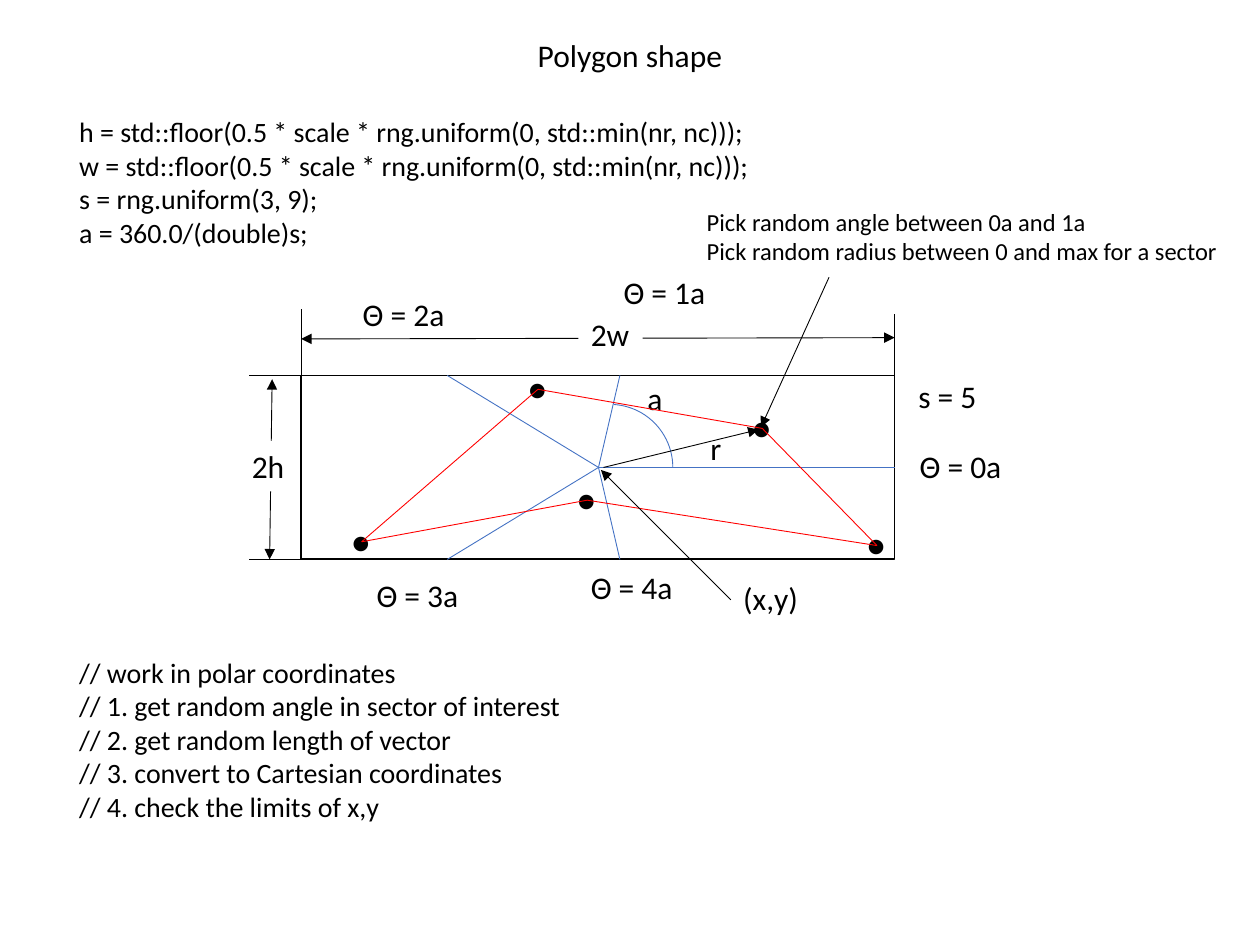
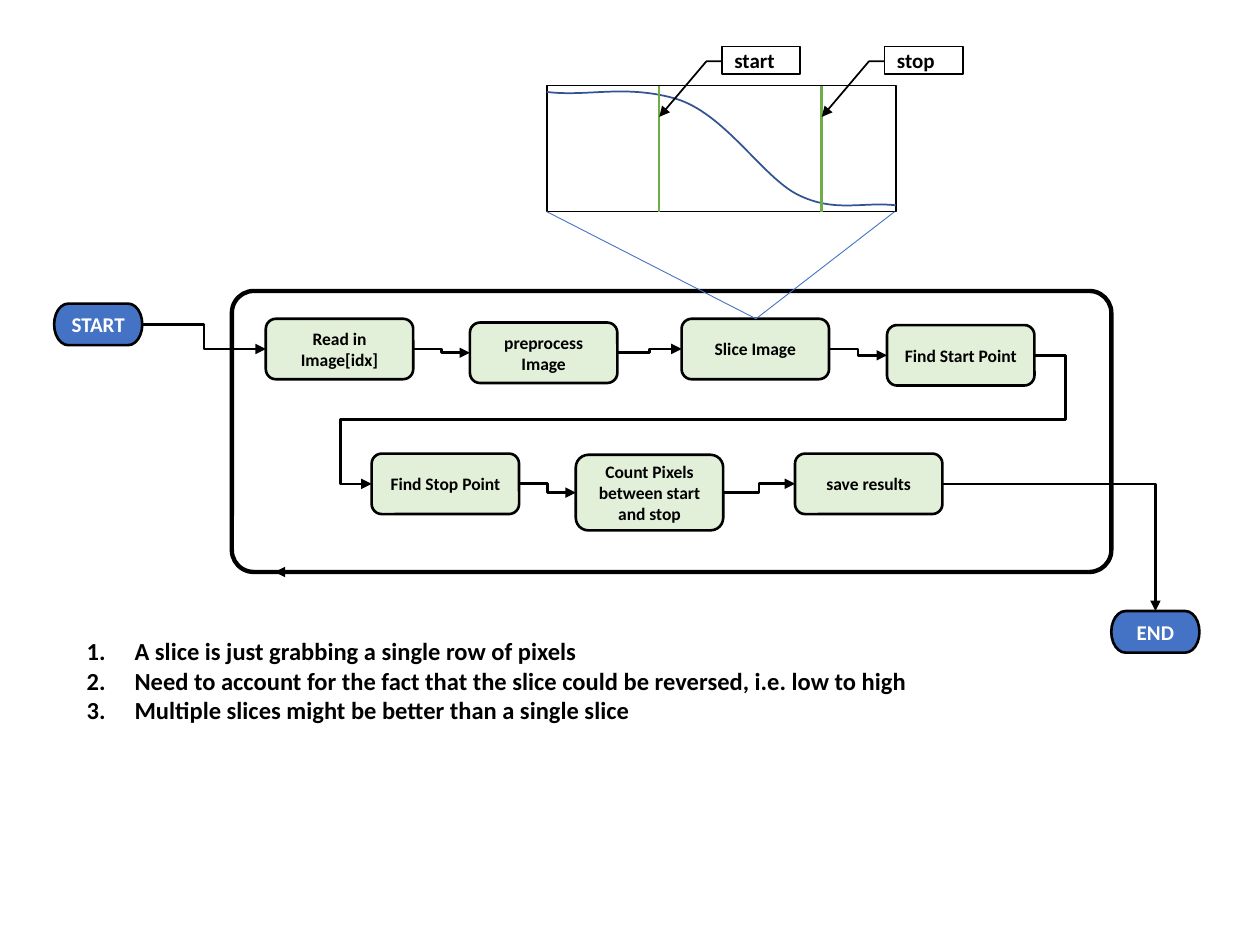
import itertools

import pptx
import pptx.dml.color
import pptx.enum.shapes
import pptx.enum.text
import pptx.oxml
import pptx.oxml.ns
import pptx.util

Inches = pptx.util.Inches
Pt = pptx.util.Pt
qn = pptx.oxml.ns.qn
Kind = pptx.enum.shapes.MSO_SHAPE
Route = pptx.enum.shapes.MSO_CONNECTOR
Align = pptx.enum.text.PP_ALIGN
Anchor = pptx.enum.text.MSO_ANCHOR

FONT = "Calibri"
BLACK, WHITE = "000000", "FFFFFF"
BLUE, NAVY, RED = "4472C4", "325491", "FF0000"
GREEN, PALE = "70AD47", "E2F0D9"
TOP, LEFT, RIGHT = 0, 1, 3  # connection sites


def color(code):
    """Turn a hex string into a colour."""
    return pptx.dml.color.RGBColor.from_string(code)


def add_node(parent, tag, **values):
    """Append a drawing element with attributes."""
    node = parent.makeelement(qn(tag), {k: str(v) for k, v in values.items()})
    parent.append(node)
    return node


def stroke(shape, code, width, head=False, tail=False):
    """Set the line of a shape, with optional arrowheads."""
    shape.line.color.rgb = color(code)
    shape.line.width = Pt(width)
    outline = shape.element.spPr.find(qn("a:ln"))
    for tag, wanted in (("a:headEnd", head), ("a:tailEnd", tail)):
        if wanted:
            add_node(outline, tag, type="triangle")


def paint(shape, code):
    """Fill a shape, or clear its fill when no colour is given."""
    if code:
        shape.fill.solid()
        shape.fill.fore_color.rgb = color(code)
    else:
        shape.fill.background()


def write(shape, text, size=18, code=BLACK, bold=False, align=Align.LEFT,
          wrap=True, anchor=Anchor.TOP, number=False):
    """Put formatted text in a shape, one paragraph per line."""
    frame = shape.text_frame
    frame.word_wrap = wrap
    frame.vertical_anchor = anchor
    frame.text = text
    for para in frame.paragraphs:
        para.alignment = align
        font = para.runs[0].font
        font.name, font.size, font.bold = FONT, Pt(size), bold
        font.color.rgb = color(code)
        if number:
            props = para._p.get_or_add_pPr()
            props.set("marL", str(Inches(0.38)))
            props.set("indent", str(-Inches(0.38)))
            add_node(props, "a:buFont", typeface="+mj-lt")
            add_node(props, "a:buAutoNum", type="arabicPeriod")


def add_text(shapes, text, left, top, width, height=0.4, fill=None,
             wrap=False, **style):
    """Add a text box."""
    box = shapes.add_textbox(*map(Inches, (left, top, width, height)))
    write(box, text, wrap=wrap, **style)
    box.text_frame.auto_size = pptx.enum.text.MSO_AUTO_SIZE.SHAPE_TO_FIT_TEXT
    if fill:
        paint(box, fill)
    return box


def add_box(shapes, kind, left, top, width, height, fill=None, code=BLACK,
            weight=1, adjust=(), tail=False):
    """Add a preset shape."""
    box = shapes.add_shape(kind, *map(Inches, (left, top, width, height)))
    box.shadow.inherit = False
    for i, value in enumerate(adjust):
        box.adjustments[i] = value
    paint(box, fill)
    stroke(box, code, weight, tail=tail)
    return box


def add_line(shapes, start, end, code=BLACK, weight=0.5, **ends):
    """Add a straight line between two points."""
    line = shapes.add_connector(Route.STRAIGHT, *map(Inches, (*start, *end)))
    stroke(line, code, weight, **ends)
    add_node(line.element.spPr, "a:effectLst")


def add_link(shapes, source, target, leave=RIGHT, enter=LEFT,
             bend="bentConnector3", adjust=()):
    """Join two shapes by a bent arrow."""
    link = shapes.add_connector(Route.ELBOW, 0, 0, 0, 0)
    link.begin_connect(source, leave)
    link.end_connect(target, enter)
    shape = link.element.spPr.find(qn("a:prstGeom"))
    shape.set("prst", bend)
    guides = shape.find(qn("a:avLst"))
    for i, value in enumerate(adjust, 1):
        add_node(guides, "a:gd", name=f"adj{i}", fmla=f"val {value}")
    stroke(link, BLACK, 1.5, tail=True)
    add_node(link.element.spPr, "a:effectLst")


def add_curve(shapes, start, arcs, code):
    """Add an open curve; each arc has two control points and an end."""
    units = 1000
    maker = shapes.build_freeform(start[0] * units, start[1] * units,
                                  scale=Inches(1) / units)
    maker.add_line_segments([(x * units, y * units) for *_, (x, y) in arcs],
                            close=False)
    curve = maker.convert_to_shape()
    curve.shadow.inherit = False
    paint(curve, None)
    stroke(curve, code, 1)
    for part, arc in zip(list(curve.element.iter(qn("a:lnTo"))), arcs):
        bend = part.makeelement(qn("a:cubicBezTo"), {})
        for x, y in arc:
            add_node(bend, "a:pt", x=round((x - start[0]) * units),
                     y=round((y - start[1]) * units))
        part.getparent().replace(part, bend)


def draw_sizes(shapes, left, top, right, bottom):
    """Draw the width and height marks of the frame."""
    add_line(shapes, (left, 2.69), (right, 2.68), head=True, tail=True)
    add_text(shapes, "2w", 4.59, 2.45, 0.51, fill=WHITE)
    add_line(shapes, (left, top), (left, 2.45))
    add_line(shapes, (right, 3.01), (right, 2.49))
    for y in (top, bottom):
        add_line(shapes, (1.98, y), (left, y))
    add_line(shapes, (2.14, bottom), (2.16, 3.01), head=True, tail=True)
    add_text(shapes, "2h", 1.9, 3.5, 0.46, fill=WHITE)


def draw_polygon(shapes):
    """Draw the random polygon with its sectors and labels."""
    left, top, right, bottom = 2.39, 2.98, 7.1, 4.44
    center = (4.75, 3.71)
    add_box(shapes, Kind.RECTANGLE, left, top, right - left, bottom - top)
    for end in ((right, 3.71), (4.92, top), (3.55, top), (3.55, bottom),
                (4.92, bottom)):
        add_line(shapes, center, end, BLUE)
    add_box(shapes, Kind.ARC, 4.34, 3.21, 1, 1, code=BLUE, weight=0.5,
            adjust=(164.288, 0))
    draw_sizes(shapes, left, top, right, bottom)

    for text, x, y, width in (
            ("a", 5.04, 2.96, 0.32), ("r", 5.54, 3.36, 0.29),
            ("(x,y)", 5.8, 4.55, 0.64), ("s = 5 ", 7.19, 2.94, 0.73)):
        add_text(shapes, text, x, y, width)
    spots = ((7.2, 3.5), (4.85, 2.12), (2.78, 2.29), (2.89, 4.52),
             (4.59, 4.46))
    for i, (x, y) in enumerate(spots):
        add_text(shapes, f"Θ = {i}a ", x, y, 0.92)

    points = [(6.05, 3.4), (4.27, 3.09), (2.87, 4.3), (4.66, 3.97),
              (6.96, 4.33)]
    for x, y in points:
        add_text(shapes, "●", x - 0.18, y - 0.21, 0.35)
    for start, end in itertools.pairwise(points + points[:1]):
        add_line(shapes, start, end, RED)
    for start, end in (((5.8, 4.76), (4.77, 3.73)),
                       ((6.58, 2.2), (6.04, 3.39)),
                       ((4.79, 3.71), (6.02, 3.41))):
        add_line(shapes, start, end, tail=True)


def polygon_slide(shapes):
    """Build the slide on the polygon shape."""
    add_text(shapes, "Polygon shape", 0, 0.24, 10, wrap=True,
             align=Align.CENTER)
    half = "std::floor(0.5 * scale * rng.uniform(0, std::min(nr, nc)));"
    add_text(shapes, f"h = {half}\nw = {half}\n"
             "s = rng.uniform(3, 9);\na = 360.0/(double)s;",
             0.53, 0.86, 5.58, 1.18, size=16)
    draw_polygon(shapes)
    add_text(shapes, "Pick random angle between 0a and 1a\n"
             "Pick random radius between 0 and max for a sector",
             5.51, 1.59, 4.29, 0.57, size=14)
    add_text(shapes, "// work in polar coordinates\n"
             "// 1. get random angle in sector of interest\n"
             "// 2. get random length of vector\n"
             "// 3. convert to Cartesian coordinates\n"
             "// 4. check the limits of x,y",
             0.53, 5.15, 4.07, 1.48, size=16)


def draw_slice(shapes):
    """Draw the slice profile with its start and stop marks."""
    add_box(shapes, Kind.RECTANGLE, 4.34, 0.68, 2.77, 1, WHITE)
    add_curve(shapes, (4.34, 0.73), (
        ((4.66, 0.77), (4.95, 0.67), (5.35, 0.78)),
        ((5.75, 0.89), (6.05, 1.41), (6.34, 1.55)),
        ((6.63, 1.69), (6.85, 1.6), (7.11, 1.63))), NAVY)
    marks = (("start", 5.23), ("stop", 6.52))
    for _, x in marks:
        add_line(shapes, (x, 0.68), (x, 1.68), GREEN, 1.5)
    for text, x in marks:
        note = add_box(shapes, Kind.LINE_CALLOUT_2, x + 0.5, 0.37, 0.62, 0.22,
                       WHITE, tail=True,
                       adjust=(0.532, -0.005, 0.532, -0.2, 2.534, -0.803))
        write(note, text, size=12, bold=True, anchor=Anchor.MIDDLE)


def add_end(shapes, text, left, top):
    """Add a start or end point of the flow."""
    end = add_box(shapes, Kind.FLOWCHART_TERMINATOR, left, top, 0.7, 0.33,
                  BLUE, weight=1.5)
    write(end, text, size=12, code=WHITE, bold=True, align=Align.CENTER,
          anchor=Anchor.MIDDLE)
    frame = end.text_frame
    frame.margin_left = frame.margin_right = 0
    frame.margin_top = frame.margin_bottom = 0
    return end


def add_step(shapes, text, left, top, height=0.48):
    """Add one step of the flow."""
    step = add_box(shapes, Kind.ROUNDED_RECTANGLE, left, top, 1.17, height,
                   PALE, weight=1.5)
    write(step, text, size=10, bold=True, align=Align.CENTER,
          anchor=Anchor.MIDDLE)
    return step


def draw_flow(shapes):
    """Draw the steps, their links and the loop around them."""
    first = add_end(shapes, "START", 0.43, 2.41)
    last = add_end(shapes, "END", 8.82, 4.85)
    steps = [add_step(shapes, *step) for step in (
        ("Read in Image[idx]", 2.11, 2.53),
        ("preprocess Image", 3.73, 2.56),
        ("Slice Image", 5.41, 2.53),
        ("Find Start Point", 7.04, 2.58),
        ("Find Stop Point", 2.95, 3.6),
        ("Count Pixels between start and stop", 4.57, 3.61, 0.6),
        ("save results", 6.31, 3.6))]
    upper, lower = steps[:4], steps[4:]
    for row in ([first] + upper, lower):
        for source, target in itertools.pairwise(row):
            add_link(shapes, source, target)
    add_link(shapes, upper[-1], lower[0], bend="bentConnector5",
             adjust=(-4700, 50000, 104700))
    add_link(shapes, lower[-1], last, enter=TOP, bend="bentConnector2")

    loop = shapes.add_group_shape().shapes
    add_box(loop, Kind.ROUNDED_RECTANGLE, 1.84, 2.31, 6.98, 2.23, weight=2.5,
            adjust=(0.078,))
    add_line(loop, (2.94, 4.54), (2.18, 4.54), weight=2, tail=True)


def slice_slide(shapes):
    """Build the slide on the slice flow."""
    draw_slice(shapes.add_group_shape().shapes)
    draw_flow(shapes)
    for x in (4.34, 7.1):
        add_line(shapes, (6, 2.53), (x, 1.68), BLUE)
    add_text(shapes, "A slice is just grabbing a single row of pixels\n"
             "Need to account for the fact that the slice could be reversed, "
             "i.e. low to high\n"
             "Multiple slices might be better than a single slice",
             0.59, 5, 7.44, 0.87, size=14, bold=True, wrap=True, number=True)


def main():
    """Build and save the slides."""
    deck = pptx.Presentation()
    deck.slide_width, deck.slide_height = Inches(10), Inches(7.5)
    for build in (polygon_slide, slice_slide):
        build(deck.slides.add_slide(deck.slide_layouts[6]).shapes)
    deck.save("out.pptx")


main()
